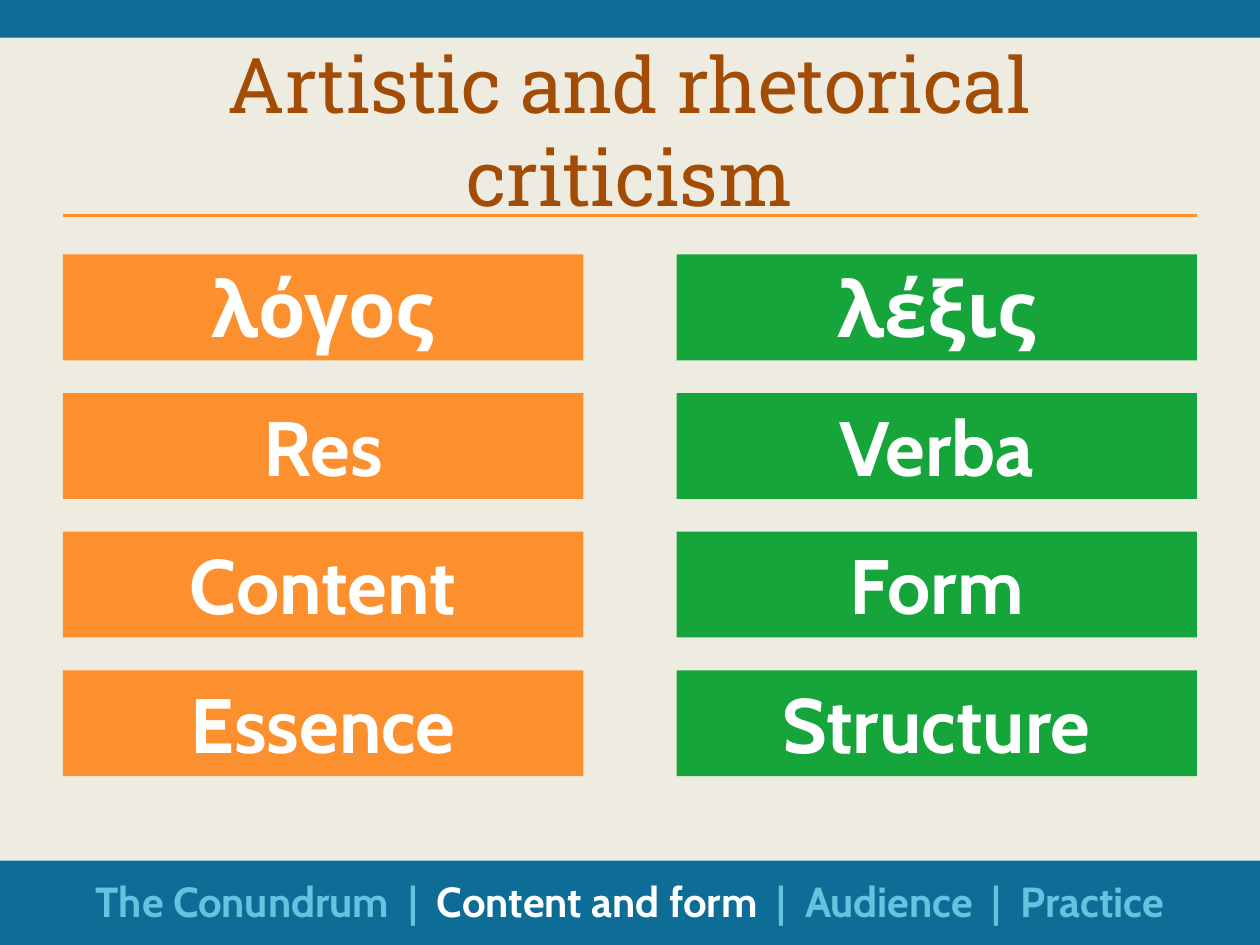
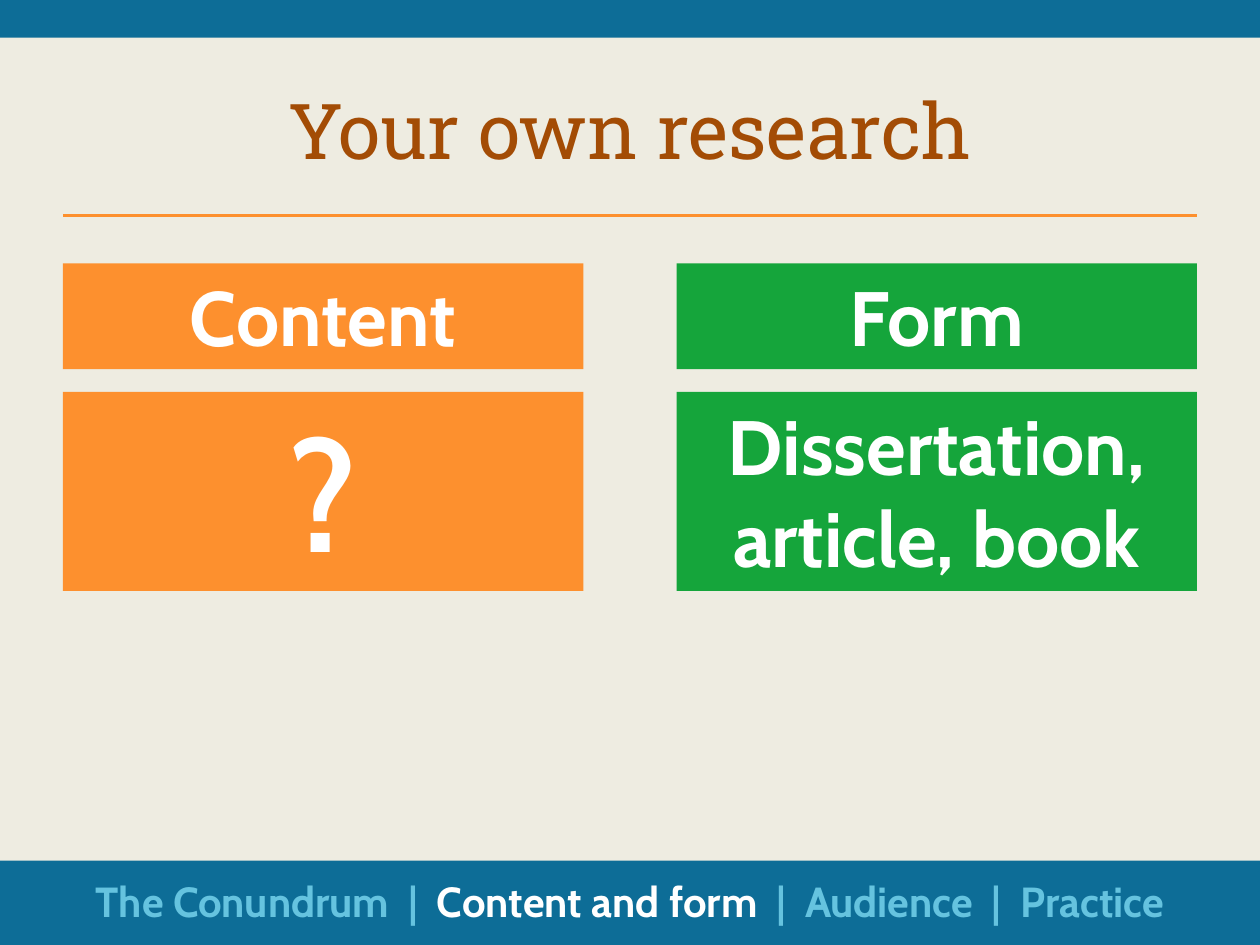
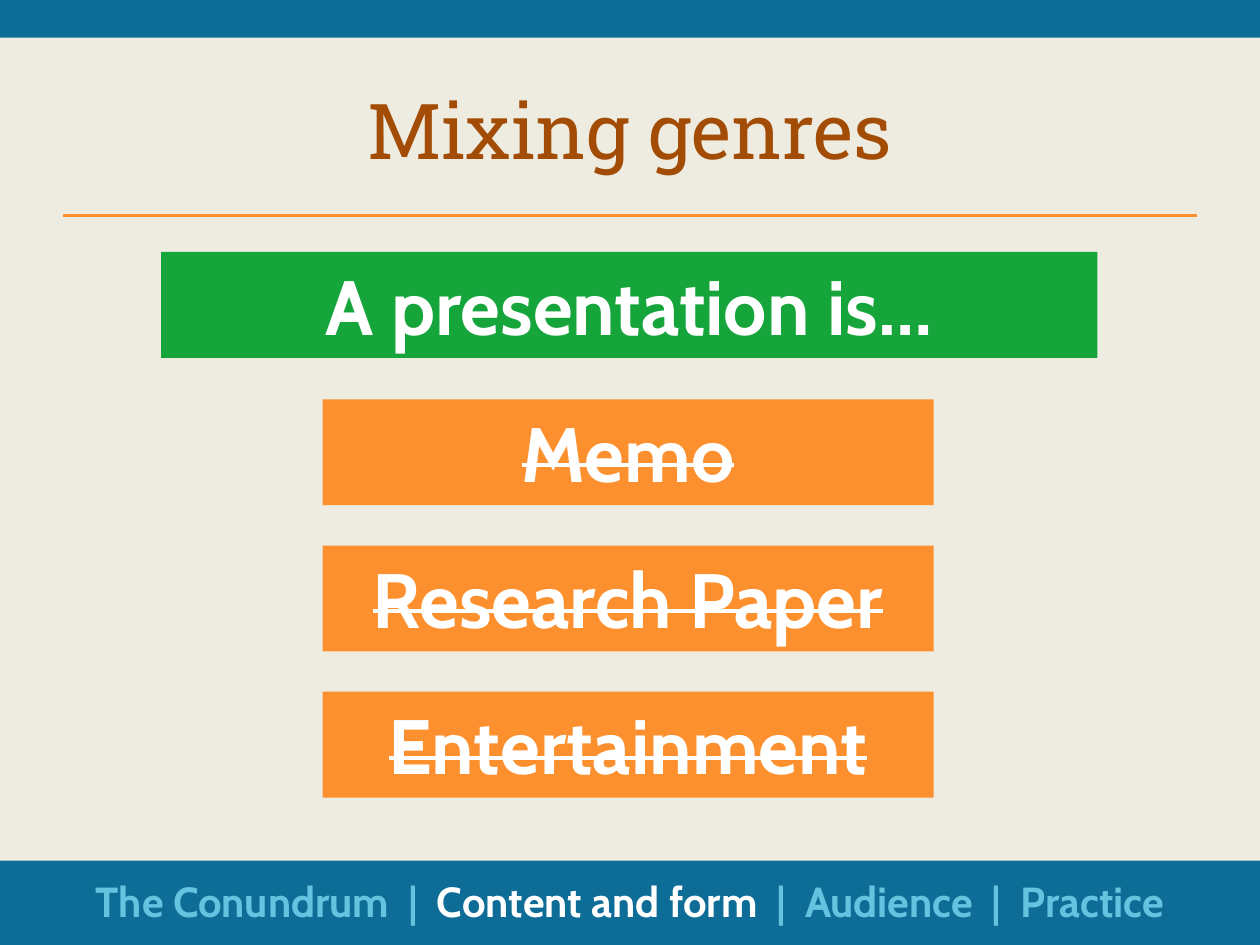
"""Build three slides on content and form."""
from dataclasses import dataclass

from lxml import etree
from pptx import Presentation
from pptx.dml.color import RGBColor
from pptx.enum import shapes, text
from pptx.oxml import ns
from pptx.util import Inches, Pt

BLUE = RGBColor(0x0D, 0x6D, 0x97)
PALE_BLUE = RGBColor(0x65, 0xC3, 0xDF)
CREAM = RGBColor(0xEE, 0xEC, 0xE1)
ORANGE = RGBColor(0xFD, 0x90, 0x2E)
GREEN = RGBColor(0x15, 0xA5, 0x3B)
BROWN = RGBColor(0xA3, 0x4C, 0x05)
WHITE = RGBColor(0xFF, 0xFF, 0xFF)

TITLE_FONT = "Roboto Slab"
BODY_FONT = "Cabin"
MARGIN = 0.5
CONTENT_WIDTH = 9
COLUMNS = ((0.5, ORANGE), (5.37, GREEN))
COLUMN_WIDTH = 4.13
ROW_HEIGHT = 0.84

FOOTER_RUNS = (
    ("The Conundrum  |  ", PALE_BLUE),
    ("Content and form  ", WHITE),
    ("|  Audience  |  Practice", PALE_BLUE),
)


@dataclass(frozen=True)
class Box:
    """A coloured rectangle with a bold white label."""

    label: str
    left: float
    top: float
    width: float
    fill: RGBColor
    height: float = ROW_HEIGHT
    size: int = 44
    struck: bool = False


def style_paragraph(paragraph, name: str, size: int, color: RGBColor, bold: bool) -> None:
    """Centre a paragraph and set its font."""
    paragraph.alignment = text.PP_ALIGN.CENTER
    font = paragraph.font
    font.name, font.size, font.bold = name, Pt(size), bold
    font.color.rgb = color


def add_rectangle(slide, left: float, top: float, width: float, height: float, fill: RGBColor):
    """Add a flat rectangle without an outline."""
    shape = slide.shapes.add_shape(
        shapes.MSO_SHAPE.RECTANGLE, Inches(left), Inches(top), Inches(width), Inches(height))
    shape.shadow.inherit = False
    shape.fill.solid()
    shape.fill.fore_color.rgb = fill
    shape.line.fill.background()
    return shape


def add_box(slide, box: Box) -> None:
    """Draw a labelled rectangle."""
    shape = add_rectangle(slide, box.left, box.top, box.width, box.height, box.fill)
    frame = shape.text_frame
    frame.word_wrap = True
    frame.auto_size = text.MSO_AUTO_SIZE.SHAPE_TO_FIT_TEXT
    frame.vertical_anchor = text.MSO_ANCHOR.TOP
    paragraph = frame.paragraphs[0]
    run = paragraph.add_run()
    run.text = box.label
    style_paragraph(paragraph, BODY_FONT, box.size, WHITE, True)
    if box.struck:
        run._r.get_or_add_rPr().set("strike", "sngStrike")


def add_rule(slide) -> None:
    """Draw the line under the title."""
    rule = slide.shapes.add_connector(
        shapes.MSO_CONNECTOR.STRAIGHT, Inches(MARGIN), Inches(1.71),
        Inches(MARGIN + CONTENT_WIDTH), Inches(1.71))
    rule.line.color.rgb = ORANGE
    rule.line.width = Pt(2)
    etree.SubElement(rule._element.spPr, ns.qn("a:effectLst"))


def add_text_frame(slide, top: float, height: float):
    """Add a wrapping text box across the content width."""
    frame = slide.shapes.add_textbox(
        Inches(MARGIN), Inches(top), Inches(CONTENT_WIDTH), Inches(height)).text_frame
    frame.word_wrap = True
    return frame


def add_title(slide, title: str) -> None:
    """Add the slide title."""
    frame = add_text_frame(slide, 0.5, 1.05)
    frame.vertical_anchor = text.MSO_ANCHOR.MIDDLE
    paragraph = frame.paragraphs[0]
    paragraph.add_run().text = title
    style_paragraph(paragraph, TITLE_FONT, 44, BROWN, False)


def add_footer(slide) -> None:
    """Add the section trail with the current section in white."""
    frame = add_text_frame(slide, 6.9, 0.5)
    frame.auto_size = text.MSO_AUTO_SIZE.SHAPE_TO_FIT_TEXT
    paragraph = frame.paragraphs[0]
    for words, color in FOOTER_RUNS:
        run = paragraph.add_run()
        run.text = words
        run.font.color.rgb = color
    style_paragraph(paragraph, BODY_FONT, 24, PALE_BLUE, True)


def add_slide(presentation, title: str, boxes: list[Box]) -> None:
    """Add a slide with bands, title, boxes and footer."""
    slide = presentation.slides.add_slide(presentation.slide_layouts[6])
    slide.background.fill.solid()
    slide.background.fill.fore_color.rgb = CREAM
    add_rectangle(slide, 0, 6.83, 10, 0.67, BLUE)
    add_rectangle(slide, 0, 0, 10, 0.3, BLUE)
    add_rule(slide)
    add_title(slide, title)
    for box in boxes:
        add_box(slide, box)
    add_footer(slide)


def pair(labels: tuple[str, str], top: float, height: float = ROW_HEIGHT,
         sizes: tuple[int, int] = (44, 44)) -> list[Box]:
    """Lay out one row of a content box and a form box."""
    return [Box(label, left, top, COLUMN_WIDTH, fill, height, size)
            for label, (left, fill), size in zip(labels, COLUMNS, sizes)]


def main() -> None:
    """Build and save the presentation."""
    presentation = Presentation()
    presentation.slide_width, presentation.slide_height = Inches(10), Inches(7.5)

    terms = (("λόγος", "λέξις"), ("Res", "Verba"), ("Content", "Form"), ("Essence", "Structure"))
    term_boxes = [box for row, labels in enumerate(terms) for box in pair(labels, 2.02 + 1.1 * row)]
    add_slide(presentation, "Artistic and rhetorical criticism", term_boxes)

    research_boxes = pair(("?", "Dissertation, article, book"), 3.11, 1.58, (88, 44))
    research_boxes += pair(("Content", "Form"), 2.09)
    add_slide(presentation, "Your own research", research_boxes)

    genres = ("Memo", "Research Paper", "Entertainment")
    genre_boxes = [Box("A presentation is…", 1.28, 2, 7.43, GREEN)]
    genre_boxes += [Box(genre, 2.56, 3.17 + 1.16 * row, 4.85, ORANGE, struck=True)
                    for row, genre in enumerate(genres)]
    add_slide(presentation, "Mixing genres", genre_boxes)

    presentation.save("out.pptx")


if __name__ == "__main__":
    main()
